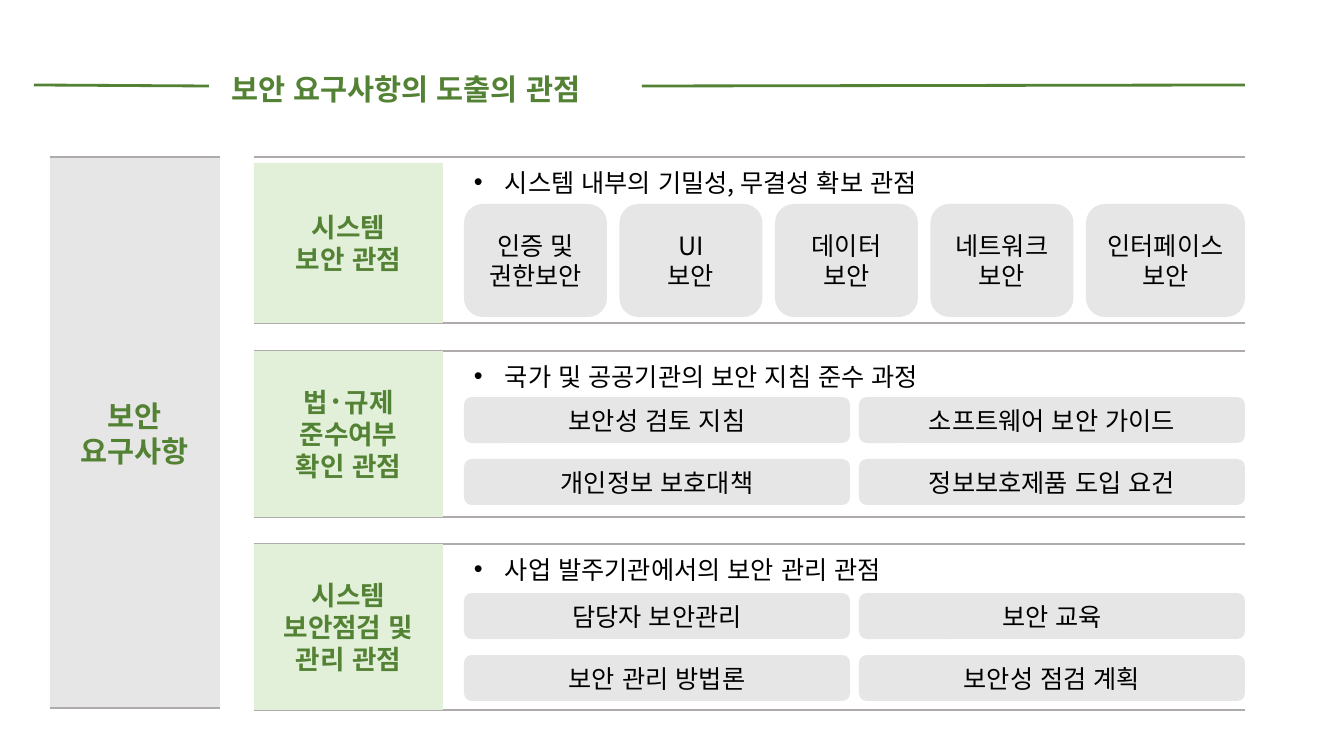
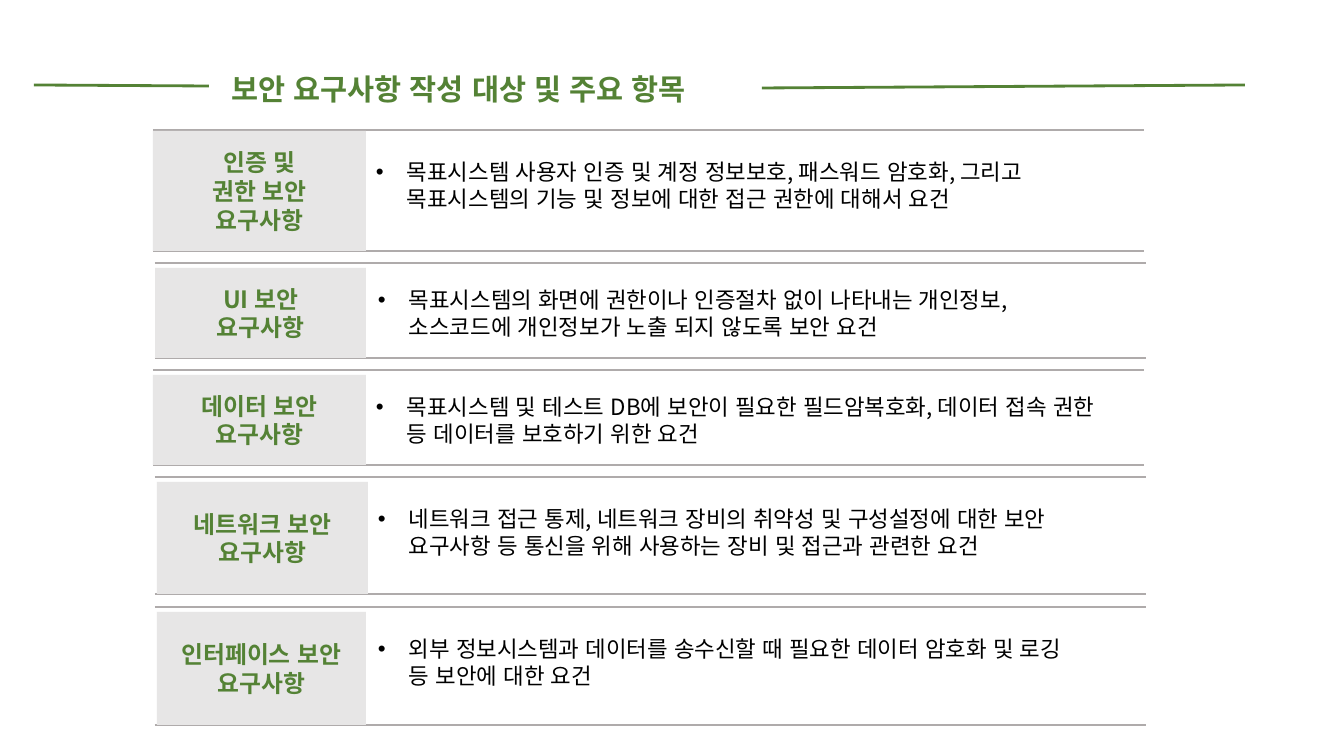
from pptx import Presentation
from pptx.dml.color import RGBColor
from pptx.enum.lang import MSO_LANGUAGE_ID
from pptx.enum.shapes import MSO_CONNECTOR, MSO_SHAPE
from pptx.enum.text import MSO_ANCHOR, MSO_AUTO_SIZE, PP_ALIGN
from pptx.oxml.ns import qn
from pptx.util import Pt
from lxml import etree

LINE = MSO_CONNECTOR.STRAIGHT
RECT, ROUND = MSO_SHAPE.RECTANGLE, MSO_SHAPE.ROUNDED_RECTANGLE
LEFT, CENTER = PP_ALIGN.LEFT, PP_ALIGN.CENTER
TOP, MIDDLE = MSO_ANCHOR.TOP, MSO_ANCHOR.MIDDLE
NO_FIT = MSO_AUTO_SIZE.NONE
KOREAN = MSO_LANGUAGE_ID.KOREAN

FONT = "Noto Sans CJK KR"
COLORS = {"green": "548235", "mint": "E2F0D9", "gray": "E7E6E6",
          "rule": "AFABAB", "black": "000000"}
LINE_HEIGHT = 1.2
TITLE_ONLY = 5
DOT = "·"
PANEL_W = 991

SECTIONS = [
    # top, bottom, label gap, label, bullet, chip offset, chip rows
    (157, 323, 6, "시스템\n보안 관점", "시스템 내부의 기밀성, 무결성 확보 관점", 47,
     ["인증 및\n권한보안", "UI\n보안", "데이터\n보안", "네트워크\n보안", "인터페이스\n보안"]),
    (351, 517, 0, "법·규제\n준수여부\n확인 관점", "국가 및 공공기관의 보안 지침 준수 과정", 46,
     ["보안성 검토 지침", "소프트웨어 보안 가이드", "개인정보 보호대책", "정보보호제품 도입 요건"]),
    (544, 710, 0, "시스템\n보안점검 및\n관리 관점", "사업 발주기관에서의 보안 관리 관점", 49,
     ["담당자 보안관리", "보안 교육", "보안 관리 방법론", "보안성 점검 계획"]),
]

REQUIREMENTS = [
    # left, top, bottom, label (dx, gap, width), text (dy, width), label, text
    (153, 130, 251, (0, 1, 213), (23, 754), "인증 및\n권한 보안\n요구사항",
     "목표시스템 사용자 인증 및 계정 정보보호, 패스워드 암호화, 그리고 "
     "목표시스템의 기능 및 정보에 대한 접근 권한에 대해서 요건"),
    (155, 263, 358, (0, 5, 211), (18, 724), "UI 보안\n요구사항",
     "목표시스템의 화면에 권한이나 인증절차 없이 나타내는 개인정보, "
     "소스코드에 개인정보가 노출 되지 않도록 보안 요건"),
    (153, 370, 465, (0, 5, 213), (18, 754), "데이터 보안\n요구사항",
     "목표시스템 및 테스트 DB에 보안이 필요한 필드암복호화, 데이터 접속 "
     "권한 등 데이터를 보호하기 위한 요건"),
    (155, 477, 594, (2, 5, 211), (23, 709), "네트워크 보안\n요구사항",
     "네트워크 접근 통제, 네트워크 장비의 취약성 및 구성설정에 대한 보안 "
     "요구사항 등 통신을 위해 사용하는 장비 및 접근과 관련한 요건"),
    (155, 607, 725, (2, 5, 209), (23, 724), "인터페이스 보안\n요구사항",
     "외부 정보시스템과 데이터를 송수신할 때 필요한 데이터 암호화 및 로깅 "
     "등 보안에 대한 요건"),
]


def px(n):
    """Turn pixels into EMU."""
    return round(n * 914400 / 100.8)


def rgb(name):
    """Look up a named colour."""
    return RGBColor.from_string(COLORS[name])


def put_text(tf, text, size, color, bold=False, align=CENTER, anchor=MIDDLE):
    """Fill a text frame, one paragraph a line; a middle dot is set larger."""
    tf.word_wrap = True
    tf.auto_size = NO_FIT
    tf.vertical_anchor = anchor
    tf.text = text
    for p in tf.paragraphs:
        pieces = p.text.partition(DOT)
        p.text = pieces[0]
        for piece in filter(None, pieces[1:]):
            p.add_run().text = piece
        p.alignment = align
        p.line_spacing = Pt(size * LINE_HEIGHT)
        for r in p.runs:
            f = r.font
            f.name, f.bold, f.language_id = FONT, bold, KOREAN
            f.size = Pt(size + 2 if r.text == DOT else size)
            f.color.rgb = rgb(color)
            ea = etree.SubElement(r._r.get_or_add_rPr(), qn("a:ea"))
            ea.set("typeface", FONT)


def add_rule(s, x1, y1, x2, y2, color="rule", width=1.5):
    """Draw a straight line without a shadow."""
    line = s.shapes.add_connector(LINE, px(x1), px(y1), px(x2), px(y2))
    line.line.color.rgb = rgb(color)
    line.line.width = Pt(width)
    etree.SubElement(line._element.spPr, qn("a:effectLst"))


def add_block(s, kind, box, fill, text, size, color="black", bold=False):
    """Place a filled shape with centred text."""
    sp = s.shapes.add_shape(kind, *map(px, box))
    sp.shadow.inherit = False
    sp.fill.solid()
    sp.fill.fore_color.rgb = rgb(fill)
    sp.line.fill.background()
    put_text(sp.text_frame, text, size, color, bold)


def add_bullet(s, box, text, size):
    """Place a text box with one bulleted paragraph."""
    tf = s.shapes.add_textbox(*map(px, box)).text_frame
    put_text(tf, text, size, "black", align=LEFT, anchor=TOP)
    pPr = tf.paragraphs[0]._p.get_or_add_pPr()
    pPr.set("marL", str(px(31)))
    pPr.set("indent", str(-px(31)))
    etree.SubElement(pPr, qn("a:buFont")).set("typeface", "Arial")
    etree.SubElement(pPr, qn("a:buChar")).set("char", "•")


def add_titled_slide(prs, title, width, rule_x, rule_y):
    """Add a slide whose title stands between two green lines."""
    s = prs.slides.add_slide(prs.slide_layouts[TITLE_ONLY])
    sp = s.shapes.title
    sp.left, sp.top, sp.width, sp.height = map(px, (221, 66, width, 45))
    put_text(sp.text_frame, title, 21, "green", True, LEFT, TOP)
    add_rule(s, 34, 85, 209, 86, "green", 2)
    add_rule(s, rule_x, rule_y, 1245, 85, "green", 2)
    return s


def add_panel(s, left, top, bottom):
    """Draw the rules above and below a panel."""
    for y in (top, bottom):
        add_rule(s, left, y, left + PANEL_W, y)


def add_side(s, x, y, w, h):
    """Draw the tall block that names the subject."""
    add_block(s, RECT, (x, y, w, h), "gray", "보안\n요구사항", 21, "green", True)
    for line_y in (y, y + h - 1):
        add_rule(s, x, line_y, x + w, line_y, width=1.75)


def add_chip_row(s, x, y, w, texts):
    """Place tall chips in a row with equal gaps; the last is wider."""
    widths = [143] * (len(texts) - 1) + [159]
    gap = (w - sum(widths)) / (len(texts) - 1)
    for text, chip_w in zip(texts, widths):
        add_block(s, ROUND, (x, y, chip_w, 113), "gray", text, 18)
        x += chip_w + gap


def add_chip_grid(s, x, y, w, texts):
    """Place flat chips in two columns."""
    gap = 9
    chip_w = (w - gap) / 2
    for i, text in enumerate(texts):
        row, col = divmod(i, 2)
        box = (x + col * (chip_w + gap), y + row * 62, chip_w, 46)
        add_block(s, ROUND, box, "gray", text, 18)


def add_section(s, left, section):
    """Draw one viewpoint: label, bullet and chips."""
    top, bottom, gap, label, bullet, offset, chips = section
    add_panel(s, left, top, bottom)
    add_block(s, RECT, (left, top + gap, 189, bottom - top - gap),
              "mint", label, 19, "green", True)
    x = left + 210
    add_bullet(s, (x, top + 5, 672, 40), bullet, 18)
    place = add_chip_grid if len(chips) == 4 else add_chip_row
    place(s, x, top + offset, left + PANEL_W - x, chips)


def add_requirement(s, requirement):
    """Draw one requirement: label and description."""
    left, top, bottom, (dx, gap, label_w), (dy, text_w), label, text = requirement
    add_panel(s, left, top, bottom)
    add_block(s, RECT, (left + dx, top + gap, label_w, bottom - top - gap),
              "gray", label, 17, "green", True)
    add_bullet(s, (left + 213, top + dy, text_w, 64), text, 16)


def build_viewpoints(prs):
    """Build the slide of viewpoints."""
    s = add_titled_slide(prs, "보안 요구사항의 도출의 관점", 418, 642, 86)
    add_side(s, 50, 157, 170, 552)
    for section in SECTIONS:
        add_section(s, 254, section)


def build_requirements(prs):
    """Build the slide of requirements."""
    s = add_titled_slide(prs, "보안 요구사항 작성 대상 및 주요 항목", 542, 762, 88)
    for requirement in REQUIREMENTS:
        add_requirement(s, requirement)


prs = Presentation()
prs.slide_width, prs.slide_height = px(1344), px(756)
build_viewpoints(prs)
build_requirements(prs)
prs.save("out.pptx")
